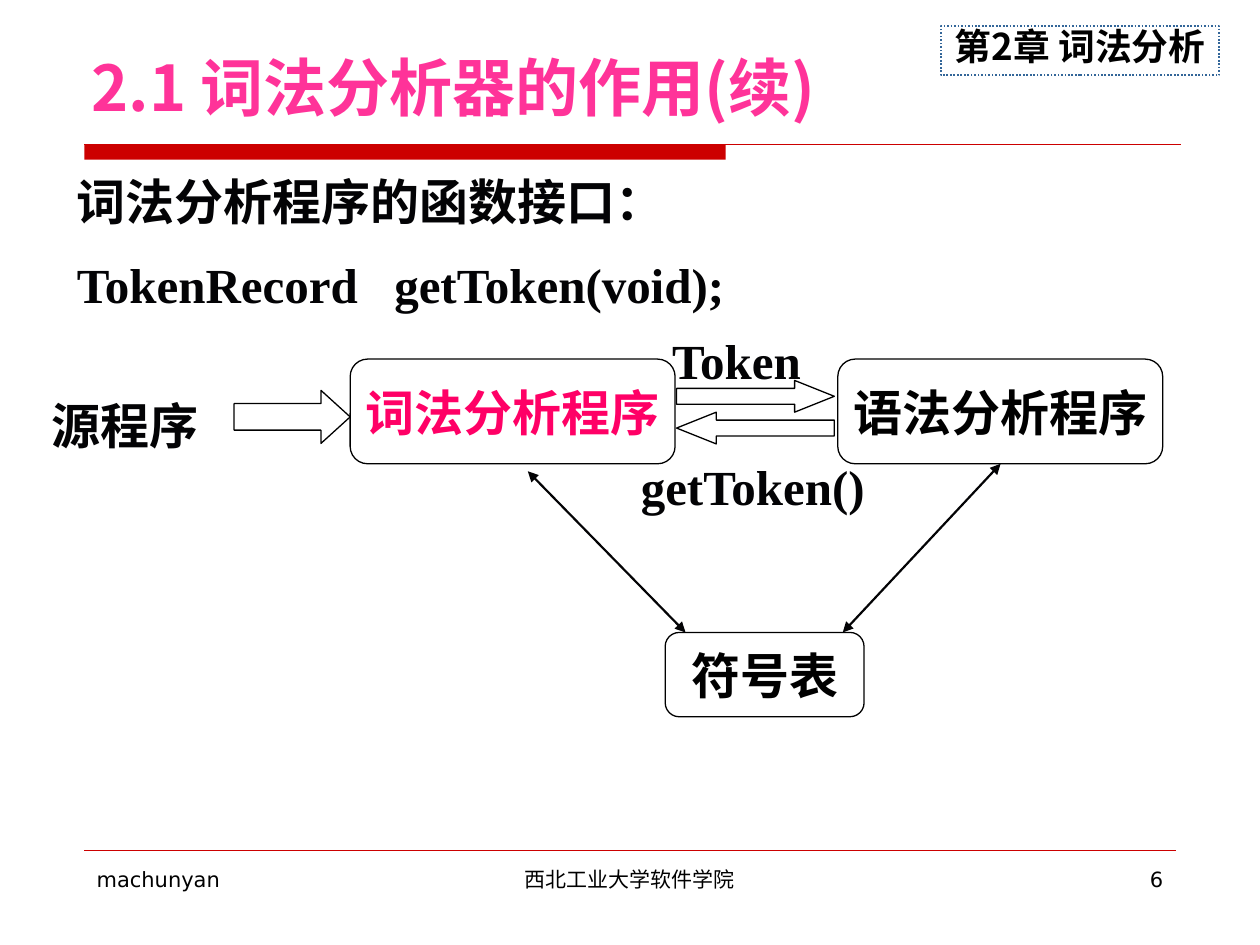
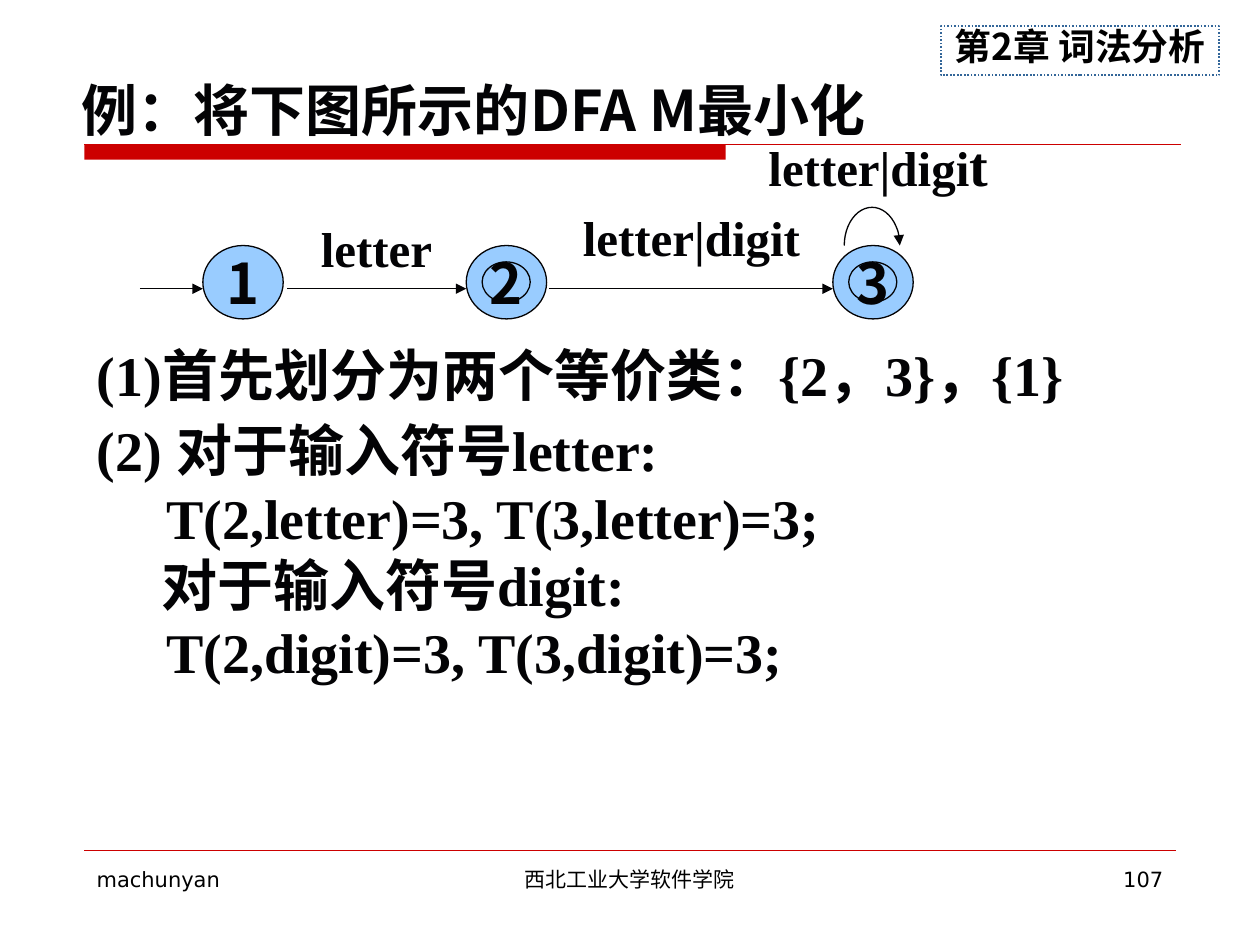
from pptx import Presentation
from pptx.dml.color import RGBColor
from pptx.enum.dml import MSO_LINE
from pptx.enum.shapes import MSO_CONNECTOR, MSO_SHAPE
from pptx.enum.text import MSO_ANCHOR, PP_ALIGN
from pptx.oxml.ns import qn
from pptx.util import Cm, Pt
from lxml.etree import SubElement

BLACK = RGBColor(0x00, 0x00, 0x00)
INK = RGBColor(0x03, 0x03, 0x05)
WHITE = RGBColor(0xFF, 0xFF, 0xFF)
RED = RGBColor(0xCC, 0x00, 0x00)
PINK = RGBColor(0xFF, 0x33, 0x99)
ROSE = RGBColor(0xFF, 0x00, 0x66)
STEEL = RGBColor(0x33, 0x66, 0x99)
SKY = RGBColor(0x99, 0xCC, 0xFF)
SERIF, SANS, TITLE, STATE = "Times New Roman", "DejaVu Sans", "Noto Sans CJK JP", "Noto Sans CJK SC"
LEFT, CENTER, RIGHT = PP_ALIGN.LEFT, PP_ALIGN.CENTER, PP_ALIGN.RIGHT
TOP, MIDDLE, BOTTOM = MSO_ANCHOR.TOP, MSO_ANCHOR.MIDDLE, MSO_ANCHOR.BOTTOM


def add_box(s, box, text="", kind=None, fill=None, line=None, size=28, font=SERIF,
            color=INK, bold=True, align=LEFT, anchor=TOP, wrap=False):
    """Add a text box, or a preset shape when kind is given; box is in cm."""
    box = [Cm(v) for v in box]
    if kind is None:
        sp = s.shapes.add_textbox(*box)
    else:
        sp = s.shapes.add_shape(kind, *box)
        sp.shadow.inherit = False
        if fill is None:
            sp.fill.background()
        else:
            sp.fill.solid()
            sp.fill.fore_color.rgb = fill
        if line is None:
            sp.line.fill.background()
        else:
            sp.line.color.rgb = line
            sp.line.width = Pt(0.75)
    tf = sp.text_frame
    tf.word_wrap = wrap
    tf.vertical_anchor = anchor
    if text:
        tf.text = text
    for p in tf.paragraphs:
        p.alignment = align
        p.font.size, p.font.name, p.font.bold = Pt(size), font, bold
        p.font.color.rgb = color
    return sp


def add_line(s, x1, y1, x2, y2, color=INK, width=0.75, ends=()):
    """Add a straight line in cm; ends lists headEnd and/or tailEnd."""
    c = s.shapes.add_connector(MSO_CONNECTOR.STRAIGHT, Cm(x1), Cm(y1), Cm(x2), Cm(y2))
    c.line.color.rgb = color
    c.line.width = Pt(width)
    for end in ends:
        SubElement(c.line._get_or_add_ln(), qn("a:" + end), type="triangle")
    SubElement(c._element.spPr, qn("a:effectLst"))


prs = Presentation()
prs.slide_width, prs.slide_height = Cm(25.4), Cm(19.05)

# Shared frame: title rule, chapter label, footer
slides = []
for number in ("6", "107"):
    s = prs.slides.add_slide(prs.slide_layouts[6])
    add_box(s, (1.7, 2.92, 12.93, 0.3), kind=MSO_SHAPE.RECTANGLE, fill=RED)
    add_line(s, 1.7, 2.92, 23.8, 2.92, RED)
    add_line(s, 1.7, 17.15, 23.7, 17.15, RED, 0.25)
    chapter = add_box(s, (18.97, 0.53, 5.61, 0.99), "第2章 词法分析", MSO_SHAPE.RECTANGLE,
                      line=STEEL, size=21, font=TITLE, color=BLACK, align=CENTER, anchor=MIDDLE)
    chapter.line.width = Pt(1)
    chapter.line.dash_style = MSO_LINE.ROUND_DOT
    chapter.text_frame.paragraphs[0].line_spacing = 0.75
    for x, w, text, align in ((1.7, 5.5, "machunyan", LEFT),
                              (8.67, 8.05, "西北工业大学软件学院", CENTER),
                              (18.2, 5.5, number, RIGHT)):
        add_box(s, (x, 17.35, w, 1.32), text, size=12, font=SANS, color=BLACK,
                bold=False, align=align, wrap=True)
    slides.append(s)

# Slide 1: title and function interface
s = slides[0]
add_box(s, (1.6, 0.33, 22.23, 2.29), "2.1 词法分析器的作用(续)", size=36, font=TITLE,
        color=PINK, anchor=BOTTOM, wrap=True)
sp = add_box(s, (1.3, 3.33, 21.59, 3.23), "词法分析程序的函数接口：", wrap=True)
p = sp.text_frame.add_paragraph()
p.text = "TokenRecord\tgetToken(void);"
p.space_before = Pt(14)
tabs = SubElement(p._p.get_or_add_pPr(), qn("a:tabLst"))
SubElement(tabs, qn("a:tab"), pos=str(Cm(6.4)), algn="l")
p.font.size, p.font.name, p.font.bold = Pt(28), SERIF, True
p.font.color.rgb = INK

# Analyser and symbol table boxes
add_box(s, (0.69, 7.52, 4.45, 2.11), "源程序", MSO_SHAPE.ROUNDED_RECTANGLE, WHITE, WHITE,
        anchor=MIDDLE)
for box, text, color in (((7.06, 7.24, 6.55, 2.11), "词法分析程序", ROSE),
                         ((16.89, 7.24, 6.55, 2.11), "语法分析程序", BLACK),
                         ((13.41, 12.75, 4.01, 1.7), "符号表", BLACK)):
    add_box(s, box, text, MSO_SHAPE.ROUNDED_RECTANGLE, line=BLACK, color=color,
            align=CENTER, anchor=MIDDLE)

# Block arrows, their labels and the links to the symbol table
for box, kind, head in (((4.72, 7.87, 2.34, 1.07), MSO_SHAPE.RIGHT_ARROW, 0.55),
                        ((13.64, 7.67, 3.18, 0.64), MSO_SHAPE.RIGHT_ARROW, 1.25),
                        ((13.64, 8.31, 3.18, 0.64), MSO_SHAPE.LEFT_ARROW, 1.25)):
    add_box(s, box, kind=kind, line=BLACK).adjustments[1] = head
add_box(s, (13.3, 6.53, 3.2, 1.45), "Token")
add_box(s, (12.67, 9.07, 5.13, 1.45), "getToken()")
for x1, y1, x2 in ((10.64, 9.5, 13.82), (20.17, 9.35, 16.99)):
    add_line(s, x1, y1, x2, 12.75, width=1.25, ends=("headEnd", "tailEnd"))

# Slide 2: heading
s = slides[1]
add_box(s, (1.4, 1.4, 20.4, 1.6), "例：将下图所示的DFA M最小化", size=32, font=STATE, wrap=True)

# States; accepting ones have an inner ring
for x, name, accepting in ((4.09, "1", False), (9.4, "2", True), (16.79, "3", True)):
    boxes = [(x, 4.95, 1.62, 1.48)]
    if accepting:
        boxes.append((x + 0.32, 5.28, 0.97, 0.81))
    for box in boxes:
        add_box(s, box, name if box is boxes[-1] else "", MSO_SHAPE.OVAL, SKY, INK,
                size=32, font=STATE, align=CENTER, anchor=MIDDLE)

# Transitions
for x1, x2 in ((2.82, 4.09), (5.79, 9.4), (11.07, 16.79)):
    add_line(s, x1, 5.82, x2, 5.82, ends=("tailEnd",))
loop = add_box(s, (17.02, 4.18, 1.12, 1.54), kind=MSO_SHAPE.ARC, line=INK)
loop.adjustments[0], loop.adjustments[1] = 108, 0
SubElement(loop.line._get_or_add_ln(), qn("a:tailEnd"), type="triangle")
for box, text in (((5.99, 4.55, 3.2, 0.91), "letter"),
                  ((11.3, 4.32, 5.28, 0.91), "letter|digit"),
                  ((14.9, 2.86, 5.61, 0.91), "letter|digi")):
    sp = add_box(s, box, text, align=CENTER, anchor=MIDDLE)
r = sp.text_frame.paragraphs[0].add_run()
r.text = "t"
r.font.size = Pt(32)

# Minimisation steps
add_box(s, (1.7, 6.73, 23.01, 1.6), "(1)首先划分为两个等价类：{2，3}，{1}", size=32, wrap=True)
steps = ("(2) 对于输入符号letter:", "T(2,letter)=3, T(3,letter)=3;",
         "对于输入符号digit:", "T(2,digit)=3, T(3,digit)=3;")
sp = add_box(s, (1.7, 8.26, 22, 5.66), "\n".join(steps), size=32, wrap=True)
for p, indent in zip(sp.text_frame.paragraphs[1:], (1.4, 1.3, 1.4)):
    p._p.get_or_add_pPr().set("marL", str(Cm(indent)))

prs.save("out.pptx")
